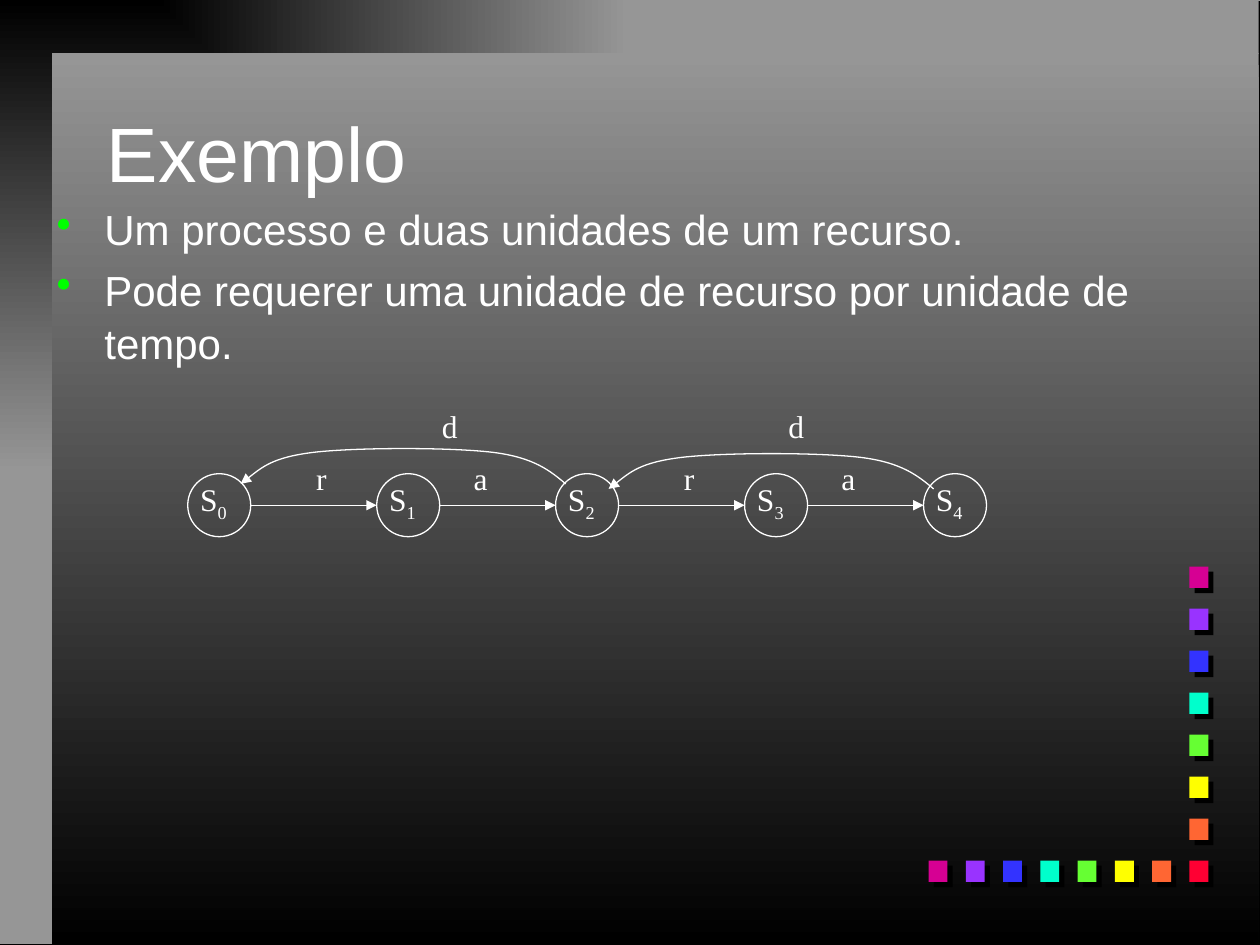
from itertools import pairwise
from lxml import etree
from pptx import Presentation, util as u
from pptx.dml.color import RGBColor
from pptx.enum import shapes, text
from pptx.oxml import parse_xml
from pptx.oxml.ns import nsdecls, qn

THEME = {
    "ink": "FFFFFF", "dark": "000000", "gray": "969696", "dot": "00FF00",
    "title": {"name": "Arial", "size": u.Pt(44)},
    "body": {"name": "Arial", "size": u.Pt(24)},
    "label": {"name": "Times New Roman", "size": u.Pt(18)},
}
TITLE = "Exemplo"
POINTS = [
    "Um processo e duas unidades de um recurso.",
    "Pode requerer uma unidade de recurso por unidade de tempo.",
]
TILES = ["FF0033", "FF6633", "FFFF00", "66FF33",
         "00FFCC", "3333FF", "9933FF", "D60093"]
STATES = [1.49, 2.99, 4.41, 5.91, 7.33]
SIZE, TOP = 0.5, 3.76
MARKS = [  # text, left, top, width
    ("r", 2.41, 3.59, 0.31), ("a", 3.66, 3.59, 0.35), ("d", 3.41, 3.18, 0.37),
    ("r", 5.33, 3.59, 0.31), ("a", 6.58, 3.59, 0.35), ("d", 6.16, 3.18, 0.37),
]
ARCS = [(1.91, 3.55), (4.83, 3.59)]
BEND = [  # start, then three cubic pieces
    (2.58, 0.29), (2.46, 0.19), (2.33, 0.08), (2.0, 0.04),
    (1.67, 0), (0.92, 0), (0.58, 0.04),
    (0.25, 0.08), (0.13, 0.19), (0, 0.29),
]

deck = Presentation()
deck.slide_width, deck.slide_height = u.Inches(10), u.Inches(7.5)
slide = deck.slides.add_slide(deck.slide_layouts[6])
kit = slide.shapes


def rgb(tone):
    return RGBColor.from_string(tone)


def box(*at):
    return [u.Inches(n) for n in at]


def fade(fill, first, last):
    """Fill from top to bottom."""
    fill.gradient()
    fill.gradient_angle = 270
    for stop, tone, pos in zip(fill.gradient_stops, (first, last), (0, 1)):
        stop.color.rgb, stop.position = rgb(tone), pos


def rect(at, dist):
    """Borderless rectangle with a hard shadow dist points away."""
    part = kit.add_shape(shapes.MSO_SHAPE.RECTANGLE, *box(*at))
    part.line.fill.background()
    part.shadow.inherit = False
    glow = part._element.spPr.find(qn("a:effectLst"))
    glow.append(parse_xml(
        f'<a:outerShdw {nsdecls("a")} dist="{u.Pt(dist)}" dir="2700000" '
        f'algn="ctr" rotWithShape="0"><a:srgbClr val="{THEME["dark"]}"/>'
        '</a:outerShdw>'))
    return part


def write(para, words, style, **more):
    run = para.add_run()
    run.text = words
    for key, val in THEME[style].items():
        setattr(run.font, key, val)
    run.font.color.rgb = rgb(THEME["ink"])
    for key, val in more.items():
        run._r.get_or_add_rPr().set(key, val)


def frame(at, **form):
    area = kit.add_textbox(*box(*at)).text_frame
    for key, val in form.items():
        setattr(area, key, val)
    return area


def label(at, words, sub=""):
    para = frame(at, word_wrap=False,
                 auto_size=text.MSO_AUTO_SIZE.SHAPE_TO_FIT_TEXT).paragraphs[0]
    write(para, words, "label")
    if sub:
        write(para, sub, "label", baseline="-25000")


def stroke(part, head=False):
    part.line.color.rgb = rgb(THEME["ink"])
    part.line.width = u.Pt(0.75)
    if head:
        etree.SubElement(part.line._get_or_add_ln(), qn("a:tailEnd"),
                         type="triangle")


def arc(left, top):
    """Arrow along BEND, its straight pieces turned into cubic ones."""
    pts = [(u.Inches(left + x), u.Inches(top + y)) for x, y in BEND]
    pen = kit.build_freeform(*pts[0])
    pen.add_line_segments(pts[1:], close=False)
    part = pen.convert_to_shape()
    part.fill.background()
    part.shadow.inherit = False
    stroke(part, True)
    legs = part._element.xpath(".//a:lnTo")
    for i in range(0, len(legs), 3):
        curve = etree.Element(qn("a:cubicBezTo"))
        legs[i].addprevious(curve)
        for leg in legs[i:i + 3]:
            curve.append(leg[0])
            leg.getparent().remove(leg)


def backdrop():
    fade(slide.background.fill, THEME["gray"], THEME["dark"])
    rim = rect((0, 0, 9.99, 7.49), 1.1)
    fade(rim.fill, THEME["dark"], THEME["gray"])
    lin = rim._element.spPr.find(".//" + qn("a:lin"))
    lin.getparent().replace(lin, parse_xml(
        f'<a:path {nsdecls("a")} path="rect">'
        '<a:fillToRect r="100000" b="100000"/></a:path>'))
    fade(rect((0.41, 0.42, 9.58, 7.07), 1.1).fill,
         THEME["gray"], THEME["dark"])
    row = [(9.44 - i * 2.07 / 7, 6.83, c) for i, c in enumerate(TILES)]
    col = [(9.44, 6.83 - i / 3, c) for i, c in enumerate(TILES)]
    for x, y, tone in row + col[1:]:
        tile = rect((x, y, 0.15, 0.17), 4.2)
        tile.fill.solid()
        tile.fill.fore_color.rgb = rgb(tone)


def wording():
    head = frame((0.75, 0.58, 8.5, 1.25), word_wrap=True,
                 vertical_anchor=text.MSO_ANCHOR.MIDDLE)
    write(head.paragraphs[0], TITLE, "title")
    body = frame((0.35, 1.55, 9.21, 1.97), word_wrap=True)
    for i, words in enumerate(POINTS):
        para = body.add_paragraph() if i else body.paragraphs[0]
        prop = para._p.get_or_add_pPr()
        prop.set("marL", str(u.Inches(0.38)))
        prop.set("indent", str(u.Inches(-0.38)))
        tint = etree.SubElement(prop, qn("a:buClr"))
        etree.SubElement(tint, qn("a:srgbClr"), val=THEME["dot"])
        etree.SubElement(prop, qn("a:buChar"), char="•")
        para.line_spacing = 1.05
        if i:
            para.space_before = u.Pt(4.5)
        write(para, words, "body")


def graph():
    for i, left in enumerate(STATES):
        spot = (left, TOP, SIZE, SIZE)
        ring = kit.add_shape(shapes.MSO_SHAPE.OVAL, *box(*spot))
        ring.fill.background()
        ring.shadow.inherit = False
        stroke(ring)
        label(spot, "S", str(i))
    mid = TOP + SIZE / 2
    for a, b in pairwise(STATES):
        link = kit.add_connector(shapes.MSO_CONNECTOR.STRAIGHT,
                                 *box(a + SIZE, mid, b, mid))
        stroke(link, True)
        etree.SubElement(link._element.spPr, qn("a:effectLst"))
    for at in ARCS:
        arc(*at)
    for words, left, top, wide in MARKS:
        label((left, top, wide, SIZE), words)


backdrop()
wording()
graph()
deck.save("out.pptx")
